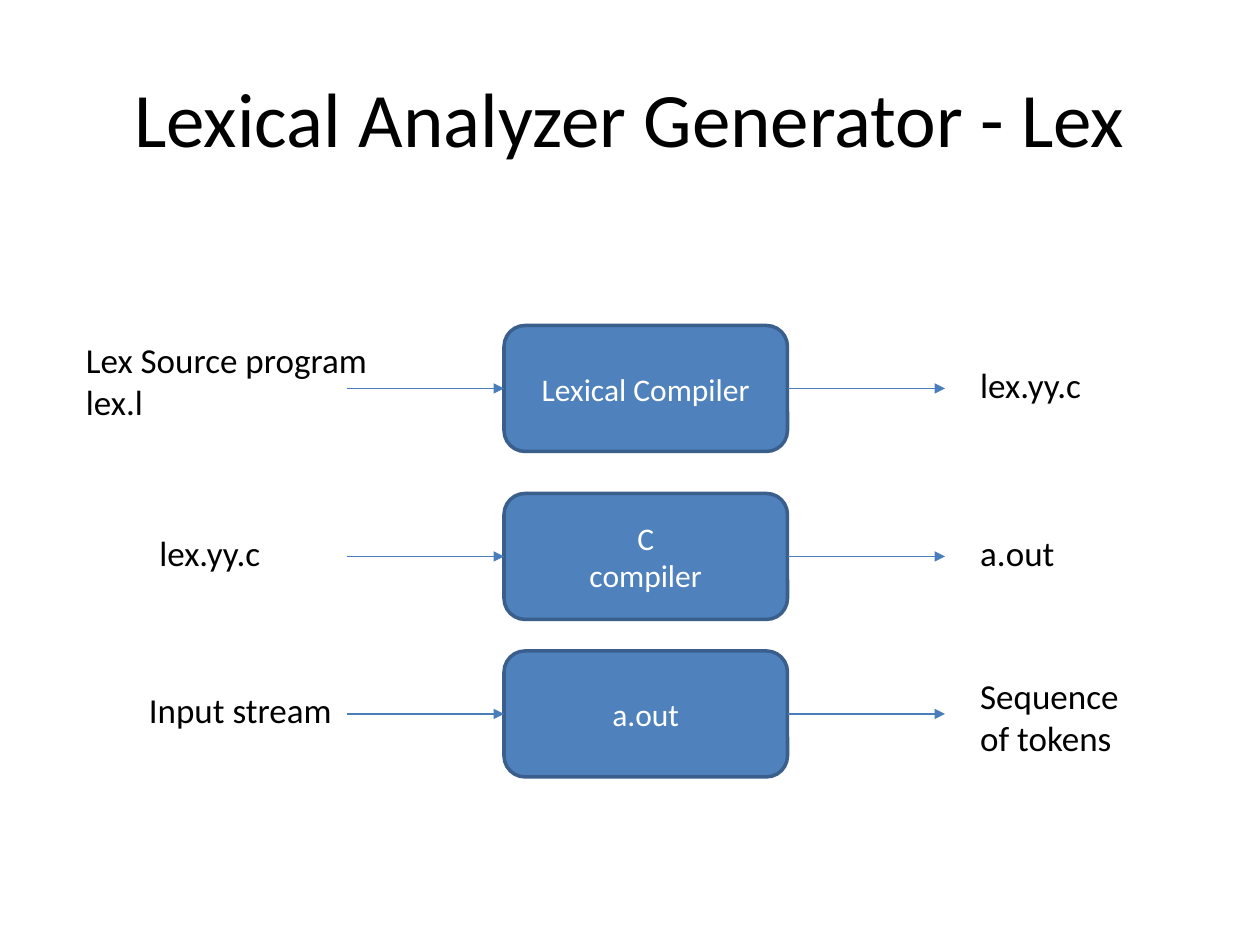
from lxml.etree import SubElement
from pptx import Presentation
from pptx.dml.color import RGBColor
from pptx.enum.shapes import MSO_CONNECTOR as Connector, MSO_SHAPE as Shape
from pptx.enum.text import MSO_ANCHOR as Anchor, PP_ALIGN as Align
from pptx.oxml.ns import qn
from pptx.util import Pt


def color(hex_string):
    return RGBColor.from_string(hex_string)


def write(frame, text, size=20, ink="000000", align=Align.LEFT, anchor=Anchor.TOP):
    """Fill a text frame, one paragraph per line of text."""
    frame.word_wrap = True
    frame.vertical_anchor = anchor
    frame.text = text
    for paragraph in frame.paragraphs:
        paragraph.alignment = align
        font = paragraph.runs[0].font
        font.name = "Calibri"
        font.size = Pt(size)
        font.color.rgb = color(ink)


class Diagram:
    BOX_FILL, BOX_EDGE, BOX_INK = "4F81BD", "3A5F8C", "FFFFFF"
    ARROW = "4A7EBB"
    BOX_LEFT, BOX_WIDTH, BOX_HEIGHT = 288, 162, 72
    ARROW_LENGTH = 90

    def __init__(self, slide):
        self.slide = slide

    def title(self, text):
        heading = self.slide.shapes.title
        heading.left, heading.top = Pt(36), Pt(21.6)
        heading.width, heading.height = Pt(648), Pt(90)
        write(heading.text_frame, text, size=44, align=Align.CENTER, anchor=Anchor.MIDDLE)

    def box(self, text, top):
        box = self.slide.shapes.add_shape(
            Shape.ROUNDED_RECTANGLE, Pt(self.BOX_LEFT), Pt(top),
            Pt(self.BOX_WIDTH), Pt(self.BOX_HEIGHT))
        box.shadow.inherit = False
        box.fill.solid()
        box.fill.fore_color.rgb = color(self.BOX_FILL)
        box.line.color.rgb = color(self.BOX_EDGE)
        box.line.width = Pt(2)
        write(box.text_frame, text, size=18, ink=self.BOX_INK,
              align=Align.CENTER, anchor=Anchor.MIDDLE)

    def arrow(self, left, y):
        arrow = self.slide.shapes.add_connector(
            Connector.STRAIGHT, Pt(left), Pt(y), Pt(left + self.ARROW_LENGTH), Pt(y))
        arrow.line.color.rgb = color(self.ARROW)
        arrow.line.width = Pt(0.75)
        SubElement(arrow.line._get_or_add_ln(), qn("a:tailEnd"), type="triangle")
        SubElement(arrow._element.spPr, qn("a:effectLst"))

    def label(self, text, left, top, width, height):
        label = self.slide.shapes.add_textbox(Pt(left), Pt(top), Pt(width), Pt(height))
        write(label.text_frame, text)

    def stage(self, top, source, tool, result):
        """Draw one row: source label, arrow, tool box, arrow, result label."""
        middle = top + self.BOX_HEIGHT / 2
        self.box(tool, top)
        self.arrow(self.BOX_LEFT - self.ARROW_LENGTH, middle)
        self.label(*source)
        self.arrow(self.BOX_LEFT + self.BOX_WIDTH, middle)
        self.label(*result)


def main():
    deck = Presentation()
    deck.slide_width, deck.slide_height = Pt(720), Pt(540)
    title_only = deck.slide_layouts[5]
    diagram = Diagram(deck.slides.add_slide(title_only))
    diagram.title("Lexical Analyzer Generator - Lex")

    result_left, result_width = 553, 101
    stages = [
        (186, ("Lex Source program\nlex.l", 42, 190, 179, 79), "Lexical Compiler",
         ("lex.yy.c", result_left, 204, result_width, 31)),
        (282, ("lex.yy.c", 84, 300, 125, 31), "C\ncompiler",
         ("a.out", result_left, 300, result_width, 31)),
        (372, ("Input stream", 78, 390, 125, 55), "a.out",
         ("Sequence of tokens", result_left, 382, result_width, 79)),
    ]
    for stage in stages:
        diagram.stage(*stage)
    deck.save("out.pptx")


if __name__ == "__main__":
    main()
